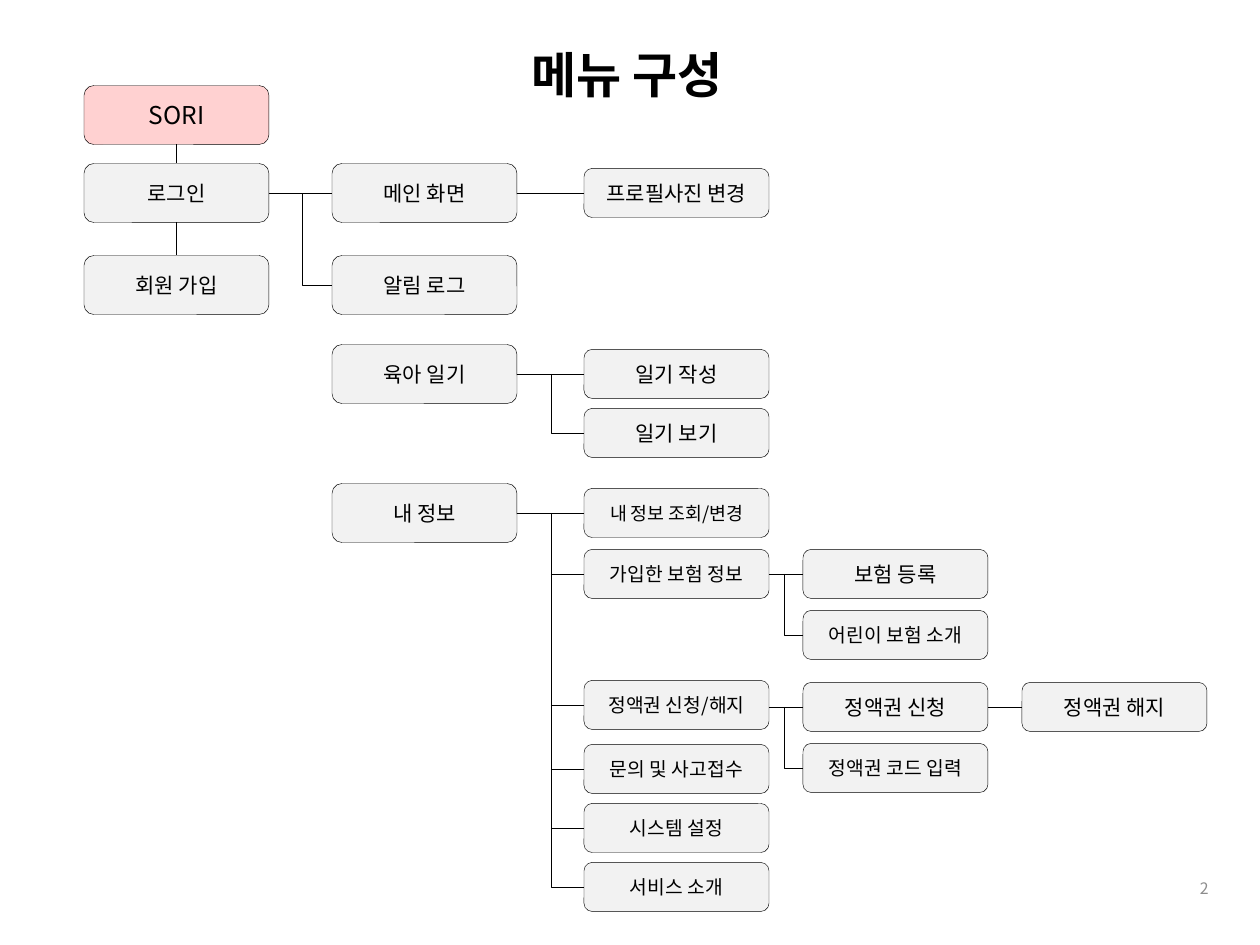
import pptx
import pptx.util
import pptx.dml.color
import pptx.enum.shapes
import pptx.enum.text
import pptx.oxml.ns
import lxml.etree

THEME = {
    "font": "Noto Sans CJK KR",
    "black": "000000",
    "gray": "8C8C8C",
    "box": "F2F2F2",
    "root": "FFD1D1",
    "title": 28,
    "heading": 14,
    "body": 12,
    "small": 11,
    "tight": 10.5,
    "number": 9,
    "outline": 0.25,
    "link": 0.5,
}
EMU_PER_PX = 914400 / 126
COLUMN_LEFTS = [84, 332, 584, 803, 1022]
COLUMN_HEIGHTS = [59, 59, 49, 49, 49]
SPINE_GAPS = [0, 30, 33, 19, 0]
BOX_WIDTH = 185

MENU = [
    ("SORI", 0, 115, "heading"),
    ("로그인", 0, 193, "body"),
    ("회원 가입", 0, 285, "body"),
    ("메인 화면", 1, 193, "body"),
    ("알림 로그", 1, 285, "body"),
    ("육아 일기", 1, 374, "body"),
    ("내 정보", 1, 513, "body"),
    ("프로필사진 변경", 2, 193, "body"),
    ("일기 작성", 2, 374, "body"),
    ("일기 보기", 2, 433, "body"),
    ("내 정보 조회/변경", 2, 513, "tight"),
    ("가입한 보험 정보", 2, 574, "small"),
    ("정액권 신청/해지", 2, 705, "small"),
    ("문의 및 사고접수", 2, 769, "small"),
    ("시스템 설정", 2, 828, "small"),
    ("서비스 소개", 2, 887, "small"),
    ("보험 등록", 3, 574, "body"),
    ("어린이 보험 소개", 3, 635, "small"),
    ("정액권 신청", 3, 707, "body"),
    ("정액권 코드 입력", 3, 768, "small"),
    ("정액권 해지", 4, 707, "body"),
]
STACKED = [("SORI", "로그인"), ("로그인", "회원 가입")]
BRANCHES = {
    "로그인": ["메인 화면", "알림 로그"],
    "메인 화면": ["프로필사진 변경"],
    "육아 일기": ["일기 작성", "일기 보기"],
    "내 정보": ["내 정보 조회/변경", "가입한 보험 정보", "정액권 신청/해지",
             "문의 및 사고접수", "시스템 설정", "서비스 소개"],
    "가입한 보험 정보": ["보험 등록", "어린이 보험 소개"],
    "정액권 신청/해지": ["정액권 신청", "정액권 코드 입력"],
    "정액권 신청": ["정액권 해지"],
}
PLACES = {label: (column, middle) for label, column, middle, size in MENU}
ALIGN = pptx.enum.text.PP_ALIGN
CONNECTOR = pptx.enum.shapes.MSO_CONNECTOR


def px(length):
    return pptx.util.Emu(round(length * EMU_PER_PX))


def color(name):
    return pptx.dml.color.RGBColor.from_string(THEME[name])


def write(shape, text, size, alignment=ALIGN.CENTER, ink="black", bold=False, spacing=1.0):
    frame = shape.text_frame
    frame_format = {"word_wrap": True, "vertical_anchor": pptx.enum.text.MSO_ANCHOR.MIDDLE}
    for name, value in frame_format.items():
        setattr(frame, name, value)
    paragraph = frame.paragraphs[0]
    paragraph.alignment = alignment
    paragraph.line_spacing = spacing
    run = paragraph.add_run()
    run.text = text
    font_format = {"name": THEME["font"], "size": pptx.util.Pt(THEME[size]), "bold": bold}
    for name, value in font_format.items():
        setattr(run.font, name, value)
    run.font.color.rgb = color(ink)
    properties = run._r.get_or_add_rPr()
    east_asian = lxml.etree.SubElement(properties, pptx.oxml.ns.qn("a:ea"))
    east_asian.set("typeface", THEME["font"])


def add_text(slide, box, text, size, **text_format):
    shape = slide.shapes.add_textbox(*map(px, box))
    write(shape, text, size, **text_format)


def add_box(slide, label, column, middle, size):
    height = COLUMN_HEIGHTS[column]
    box = (COLUMN_LEFTS[column], middle - height / 2, BOX_WIDTH, height)
    kind = pptx.enum.shapes.MSO_SHAPE.ROUNDED_RECTANGLE
    shape = slide.shapes.add_shape(kind, *map(px, box))
    shape.shadow.inherit = False
    shape.fill.solid()
    shape.fill.fore_color.rgb = color("root" if size == "heading" else "box")
    shape.line.color.rgb = color("black")
    shape.line.width = pptx.util.Pt(THEME["outline"])
    write(shape, label, size)


def add_link(slide, x1, y1, x2, y2, kind=CONNECTOR.STRAIGHT):
    link = slide.shapes.add_connector(kind, *map(px, (x1, y1, x2, y2)))
    link.line.color.rgb = color("black")
    link.line.width = pptx.util.Pt(THEME["link"])
    lxml.etree.SubElement(link._element.spPr, pptx.oxml.ns.qn("a:effectLst"))
    return link


def add_corner(slide, x1, y1, x2, y2):
    center_x, center_y = (x1 + x2) / 2, (y1 + y2) / 2
    half_width, half_height = (y2 - y1) / 2, (x2 - x1) / 2
    link = add_link(slide, center_x + half_width, center_y - half_height,
                    center_x - half_width, center_y + half_height, CONNECTOR.ELBOW)
    properties = link._element.spPr
    properties.find(pptx.oxml.ns.qn("a:xfrm")).set("rot", "16200000")
    properties.find(pptx.oxml.ns.qn("a:prstGeom")).set("prst", "bentConnector2")


def add_branch(slide, parent, children):
    start = COLUMN_LEFTS[PLACES[parent][0]] + BOX_WIDTH
    column, top = PLACES[children[0]]
    end = COLUMN_LEFTS[column]
    spine = end - SPINE_GAPS[column]
    add_link(slide, start, top, end, top)
    for child in children[1:-1]:
        middle = PLACES[child][1]
        add_link(slide, spine, middle, end, middle)
    if len(children) > 1:
        add_corner(slide, spine, top, end, PLACES[children[-1]][1])


def main():
    presentation = pptx.Presentation()
    presentation.slide_width, presentation.slide_height = px(1260), px(945)
    slide = presentation.slides.add_slide(presentation.slide_layouts[6])
    add_text(slide, (506, 24, 242, 107), "메뉴 구성", "title", bold=True, spacing=0.9)
    add_text(slide, (937, 863, 284, 50), "2", "number", alignment=ALIGN.RIGHT, ink="gray")
    for entry in MENU:
        add_box(slide, *entry)
    for upper, lower in STACKED:
        column, upper_middle = PLACES[upper]
        center = COLUMN_LEFTS[column] + BOX_WIDTH / 2
        half = COLUMN_HEIGHTS[column] / 2
        add_link(slide, center, upper_middle + half, center, PLACES[lower][1] - half)
    for parent, children in BRANCHES.items():
        add_branch(slide, parent, children)
    presentation.save("out.pptx")


if __name__ == "__main__":
    main()
